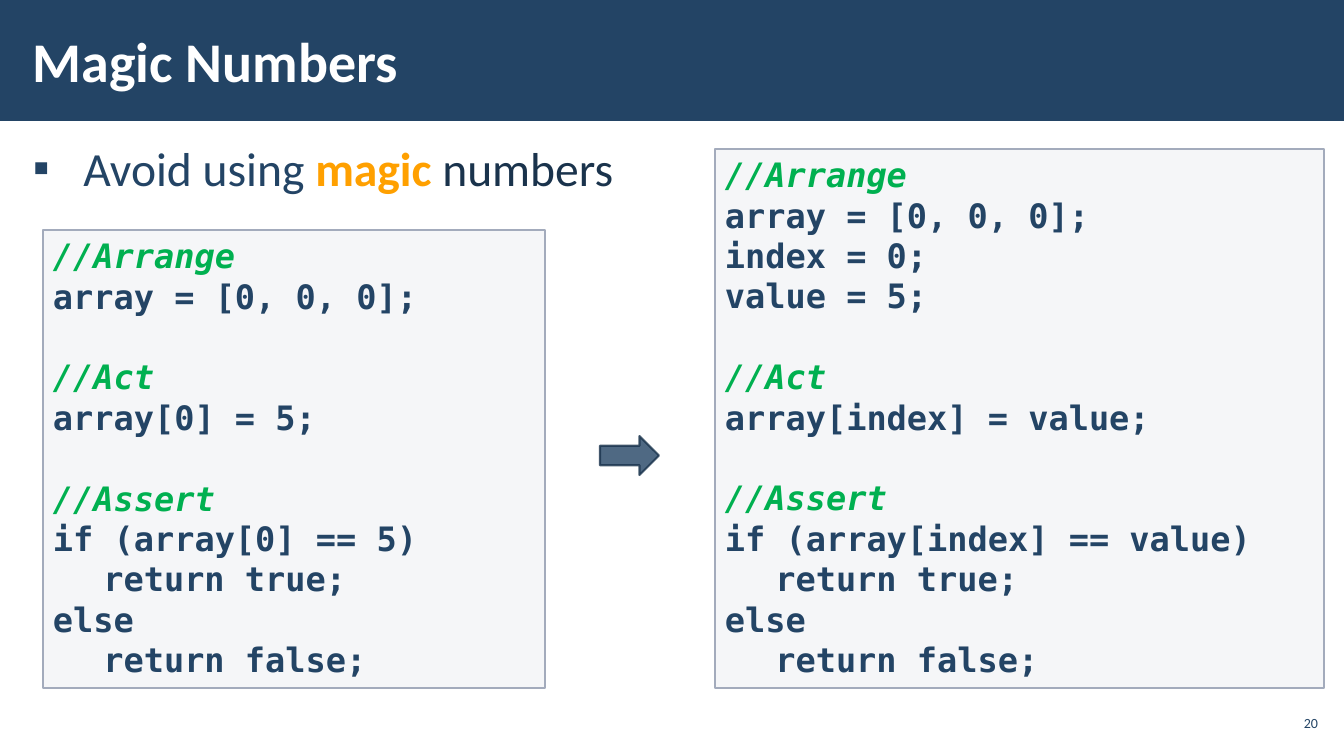
from dataclasses import dataclass

import lxml.etree
import pptx
import pptx.dml.color
import pptx.enum.shapes
import pptx.enum.text
import pptx.oxml.ns
import pptx.util

EMU_PER_PX = 914400 / 100.8
SHAPE = pptx.enum.shapes.MSO_SHAPE
ANCHOR = pptx.enum.text.MSO_ANCHOR
ALIGN = pptx.enum.text.PP_ALIGN
Pt = pptx.util.Pt
qn = pptx.oxml.ns.qn


@dataclass(frozen=True)
class Theme:
    navy: str = "234465"
    dark_navy: str = "1A334C"
    white: str = "FFFFFF"
    orange: str = "FFA000"
    green: str = "00B050"
    code_fill: str = "C2C7D2"
    code_line: str = "A3ABBC"
    sans: str = "Calibri"
    mono: str = "DejaVu Sans Mono"
    title_size: int = 40
    body_size: int = 34
    code_size: int = 24
    code_leading: float = 28.85
    number_size: int = 10


@dataclass(frozen=True)
class Box:
    left: int
    top: int
    width: int
    height: int

    def emu(self) -> tuple:
        return tuple(px(v) for v in (self.left, self.top, self.width, self.height))


@dataclass(frozen=True)
class CodePanel:
    box: Box
    sections: tuple


THEME = Theme()
PANELS = (
    CodePanel(Box(43, 230, 502, 458), (
        "//Arrange\narray = [0, 0, 0];",
        "//Act\narray[0] = 5;",
        "//Assert\nif (array[0] == 5)\n\treturn true;\nelse\n\treturn false;",
    )),
    CodePanel(Box(715, 149, 609, 539), (
        "//Arrange\narray = [0, 0, 0];\nindex = 0;\nvalue = 5;",
        "//Act\narray[index] = value;",
        "//Assert\nif (array[index] == value)\n\treturn true;\nelse\n\treturn false;",
    )),
)


def px(value: float) -> int:
    return round(value * EMU_PER_PX)


def rgb(color: str):
    return pptx.dml.color.RGBColor.from_string(color)


def add_run(p, text: str, *, size: float, color: str, font: str = THEME.sans,
            bold: bool = False, italic: bool = False) -> None:
    r = p.add_run()
    r.text = text
    r.font.name = font
    r.font.size = Pt(size)
    r.font.bold = bold
    r.font.italic = italic
    r.font.color.rgb = rgb(color)


def set_frame(tf, anchor, inset_x: int, inset_y: int) -> None:
    tf.word_wrap = True
    tf.auto_size = pptx.enum.text.MSO_AUTO_SIZE.NONE
    tf.vertical_anchor = anchor
    tf.margin_left = tf.margin_right = px(inset_x)
    tf.margin_top = tf.margin_bottom = px(inset_y)


def place(sp, box: Box) -> None:
    sp.left, sp.top, sp.width, sp.height = box.emu()


def set_alpha(parent, percent: int) -> None:
    """Make the solid fill directly under parent partly transparent."""
    color = parent.find(f"{qn('a:solidFill')}/{qn('a:srgbClr')}")
    lxml.etree.SubElement(color, qn("a:alpha")).set("val", str(percent * 1000))


def add_shape(slide, kind, box: Box, fill: str, line: str = "",
              line_width: float = 1, fill_alpha: int = 100, line_alpha: int = 100):
    sp = slide.shapes.add_shape(kind, *box.emu())
    sp.shadow.inherit = False
    sp.fill.solid()
    sp.fill.fore_color.rgb = rgb(fill)
    spPr = sp._element.spPr
    if fill_alpha < 100:
        set_alpha(spPr, fill_alpha)
    if not line:
        sp.line.fill.background()
        return sp
    sp.line.color.rgb = rgb(line)
    sp.line.width = Pt(line_width)
    if line_alpha < 100:
        set_alpha(spPr.find(qn("a:ln")), line_alpha)
    return sp


def add_code_panel(slide, panel: CodePanel) -> None:
    sp = add_shape(slide, SHAPE.RECTANGLE, panel.box, THEME.code_fill,
                   THEME.code_line, fill_alpha=15)
    tf = sp.text_frame
    set_frame(tf, ANCHOR.TOP, 10, 5)
    p = tf.paragraphs[0]
    for s, section in enumerate(panel.sections):
        for n, code in enumerate(section.split("\n")):
            if s or n:
                p = tf.add_paragraph()
            p.alignment = ALIGN.LEFT
            p.line_spacing = Pt(THEME.code_leading)
            p.space_before = Pt(THEME.code_leading if s and not n else 0)
            comment = code.startswith("//")
            add_run(p, code, size=THEME.code_size, font=THEME.mono, bold=True,
                    color=THEME.green if comment else THEME.navy, italic=comment)


def fill_title(sp) -> None:
    place(sp, Box(21, 11, 1048, 98))
    set_frame(sp.text_frame, ANCHOR.MIDDLE, 12, 4)
    p = sp.text_frame.paragraphs[0]
    p.alignment = ALIGN.LEFT
    add_run(p, "Magic Numbers", size=THEME.title_size, color=THEME.white, bold=True)


def fill_body(sp) -> None:
    place(sp, Box(21, 132, 1302, 574))
    set_frame(sp.text_frame, ANCHOR.TOP, 12, 4)
    p = sp.text_frame.paragraphs[0]
    pPr = p._p.get_or_add_pPr()
    pPr.set("marL", str(px(50.4)))
    pPr.set("indent", str(-px(50.4)))
    lxml.etree.SubElement(pPr, qn("a:buFont")).set("typeface", "Arial")
    lxml.etree.SubElement(pPr, qn("a:buChar")).set("char", "▪")
    p.line_spacing = 1.05
    p.space_before = Pt(0)
    p.space_after = Pt(6)
    add_run(p, "Avoid using ", size=THEME.body_size, color=THEME.navy)
    add_run(p, "magic", size=THEME.body_size, color=THEME.orange, bold=True)
    add_run(p, " numbers", size=THEME.body_size, color=THEME.dark_navy)


def add_slide_number(slide) -> None:
    tf = slide.shapes.add_textbox(*Box(1275, 706, 47, 34).emu()).text_frame
    set_frame(tf, ANCHOR.MIDDLE, 4, 4)
    p = tf.paragraphs[0]
    p.alignment = ALIGN.RIGHT
    add_run(p, "20", size=THEME.number_size, color=THEME.navy)


def main() -> None:
    prs = pptx.Presentation()
    prs.slide_width, prs.slide_height = px(1344), px(756)
    slide = prs.slides.add_slide(prs.slide_layouts[1])

    band = add_shape(slide, SHAPE.RECTANGLE, Box(0, 0, 1344, 121), THEME.navy)
    slide.shapes.title._element.addprevious(band._element)

    fill_title(slide.shapes.title)
    fill_body(slide.placeholders[1])
    for panel in PANELS:
        add_code_panel(slide, panel)
    add_shape(slide, SHAPE.RIGHT_ARROW, Box(600, 436, 59, 39), THEME.navy,
              THEME.dark_navy, line_width=1.5, fill_alpha=80, line_alpha=80)
    add_slide_number(slide)
    prs.save("out.pptx")


if __name__ == "__main__":
    main()
